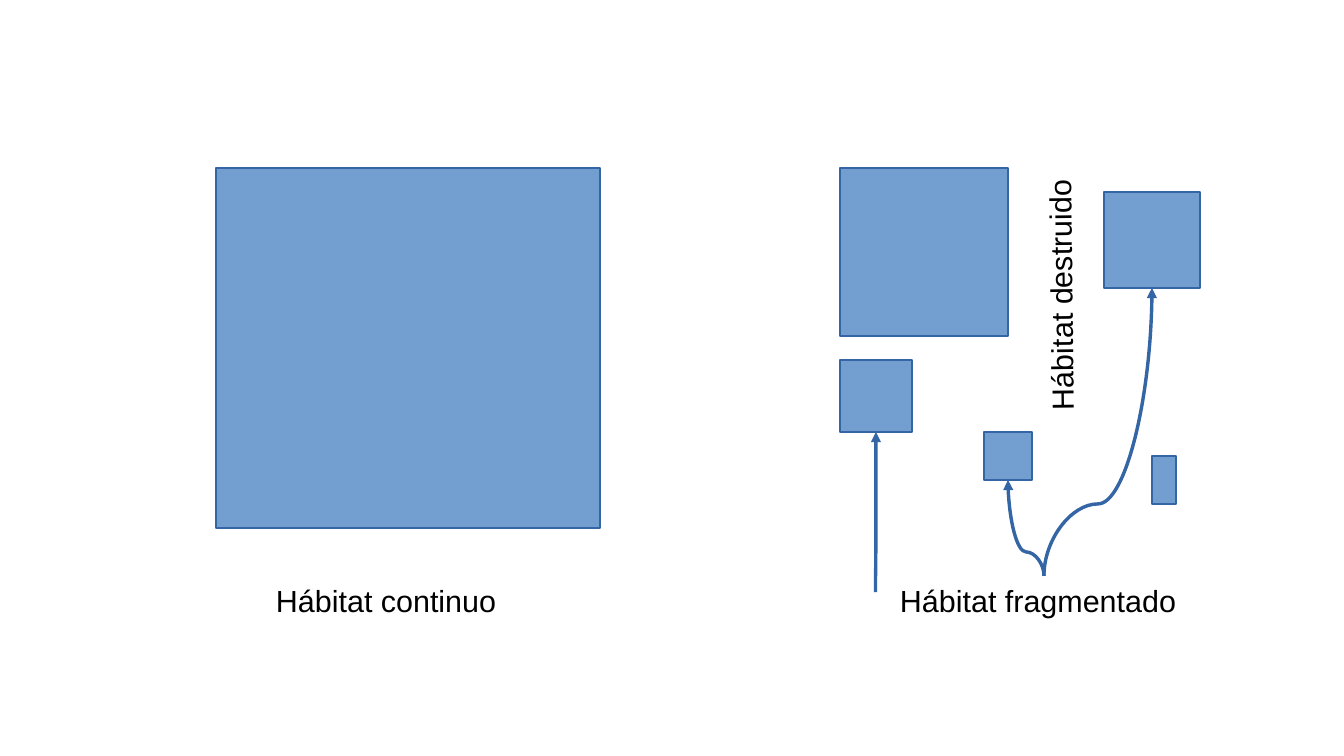
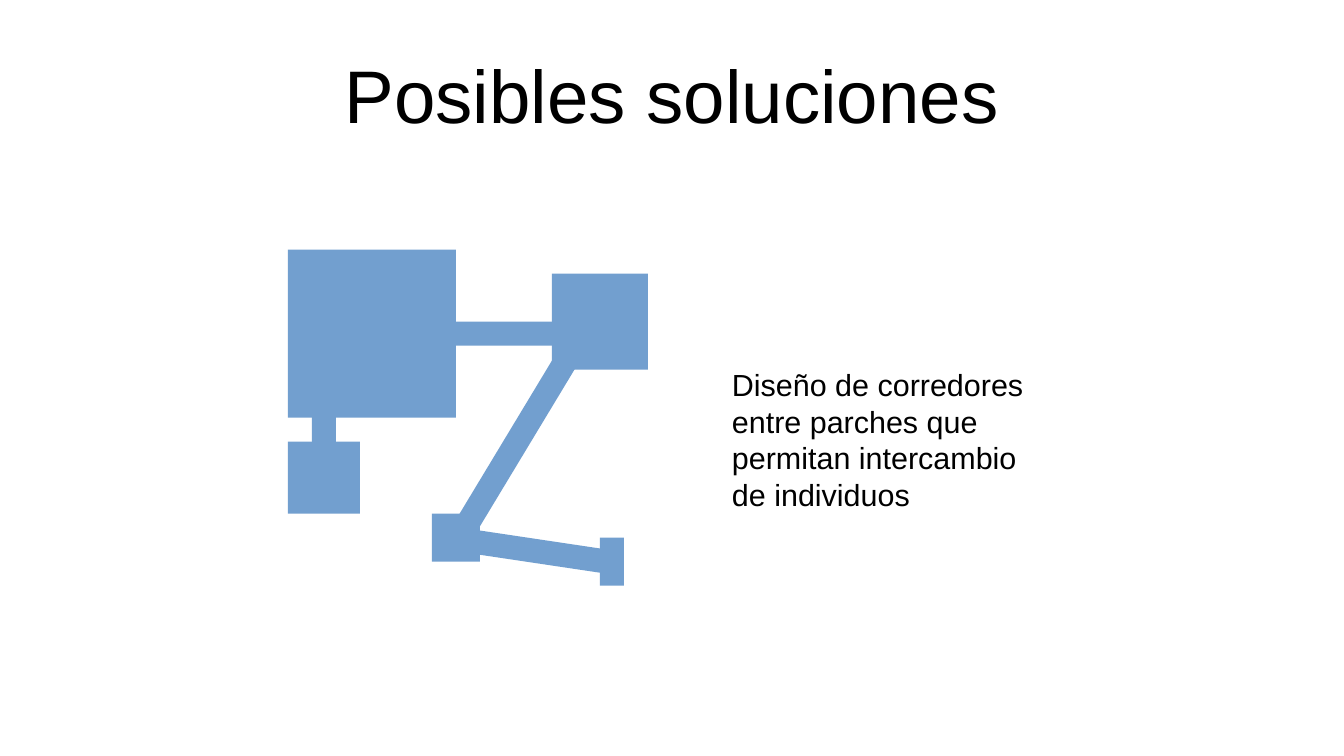
from lxml.etree import SubElement
from pptx import Presentation
from pptx.dml.color import RGBColor
from pptx.enum.shapes import MSO_CONNECTOR, MSO_SHAPE
from pptx.enum.text import MSO_ANCHOR, MSO_AUTO_SIZE, PP_ALIGN
from pptx.oxml.ns import qn
from pptx.util import Cm, Pt

# Shared style
FONT = "Arial"
BLACK, HABITAT, OUTLINE = "000000", "729FCF", "3465A4"

# Content, in cm: left, top, width, height and, where needed, rotation
CONTINUOUS = (4.5, 3.5, 8, 7.5)
PATCHES = [  # from the corner of the fragmented habitat
    (0, 0, 3.5, 3.5),
    (0, 4, 1.5, 1.5),
    (3, 5.5, 1, 1),
    (6.5, 6, 0.5, 1),
    (5.5, 0.5, 2, 2),
]
CORRIDORS = [  # from the same corner
    (3, 1.5, 3, 0.5),
    (0.5, 2.9, 0.5, 2),
    (4.92, 4.48, 0.5, 3.6, 278.5),
    (2.53, 3.3, 5.03, 0.5, 301.1),
]
FRAGMENTED_AT = (17.5, 3.5)
CONNECTED_AT = (6, 5.2)
ARROWS = [  # start, index of the patch it points to, bend
    ((18.24, 12.34), 1, 0.137),
    ((21.75, 12), 2, 0.25),
    ((21.75, 12), 4, 0.25),
]
LABELS = [
    ("Hábitat continuo", (5.5, 12, 6.5, 0.96)),
    ("Hábitat fragmentado", (18.5, 12, 6.5, 0.96)),
]
DESTROYED = ("Hábitat destruido", (19.41, 5.66, 5.31, 0.96))
TITLE = "Posibles soluciones"
SOLUTION = ("Diseño de corredores entre parches que permitan intercambio de individuos",
            (15, 7.5, 7, 3.1))


def color(value):
    return RGBColor.from_string(value)


def add_block(s, box, origin=(0, 0), outlined=False):
    x, y, w, h, *turn = box
    sp = s.shapes.add_shape(MSO_SHAPE.RECTANGLE, Cm(origin[0] + x), Cm(origin[1] + y),
                            Cm(w), Cm(h))
    sp.shadow.inherit = False
    sp.rotation = turn[0] if turn else 0
    sp.fill.solid()
    sp.fill.fore_color.rgb = color(HABITAT)
    if outlined:
        sp.line.color.rgb = color(OUTLINE)
        sp.line.width = Pt(0)
    else:
        sp.line.fill.background()


def add_text(s, text, box, size=18, wrap=True):
    sp = s.shapes.add_textbox(*map(Cm, box))
    tf = sp.text_frame
    tf.word_wrap = wrap
    tf.auto_size = MSO_AUTO_SIZE.SHAPE_TO_FIT_TEXT
    p = tf.paragraphs[0]
    p.text = text
    p.font.name, p.font.size = FONT, Pt(size)
    p.font.color.rgb = color(BLACK)
    return sp


def add_title(s, text):
    tf = add_text(s, text, (1.4, 0.63, 25.2, 2.64), 44).text_frame
    tf.auto_size = MSO_AUTO_SIZE.NONE
    tf.margin_left = tf.margin_right = tf.margin_top = tf.margin_bottom = 0
    tf.vertical_anchor = MSO_ANCHOR.MIDDLE
    tf.paragraphs[0].alignment = PP_ALIGN.CENTER


def add_rising_arrow(s, start, end, bend):
    """Curve that leaves upwards: a horizontal one, turned a quarter."""
    (x1, y1), (x2, y2) = start, end
    cx, cy = (x1 + x2) / 2, (y1 + y2) / 2
    side, rise = abs(x2 - x1) / 2, (y1 - y2) / 2
    turn = 270 if x2 < x1 else 90
    if turn == 90:
        rise = -rise
    c = s.shapes.add_connector(MSO_CONNECTOR.CURVE, Cm(cx - rise), Cm(cy + side),
                               Cm(cx + rise), Cm(cy - side))
    c.line.color.rgb = color(OUTLINE)
    c.line.width = Pt(0)
    pr = c._element.spPr
    pr.find(qn("a:xfrm")).set("rot", str(turn * 60000))
    guides = pr.find(qn("a:prstGeom")).find(qn("a:avLst"))
    SubElement(guides, qn("a:gd"), name="adj1", fmla=f"val {round(bend * 100000)}")
    SubElement(pr.find(qn("a:ln")), qn("a:tailEnd"), type="triangle")
    SubElement(pr, qn("a:effectLst"))


def build_fragmentation(s):
    add_block(s, CONTINUOUS, outlined=True)
    for patch in PATCHES:
        add_block(s, patch, FRAGMENTED_AT, outlined=True)
    for text, box in LABELS:
        add_text(s, text, box)
    # Arrows end at the middle of a patch's lower edge
    left, top = FRAGMENTED_AT
    for start, target, bend in ARROWS:
        x, y, w, h = PATCHES[target]
        add_rising_arrow(s, start, (left + x + w / 2, top + y + h), bend)
    add_text(s, *DESTROYED, wrap=False).rotation = 269.3


def build_solutions(s):
    add_title(s, TITLE)
    for block in PATCHES + CORRIDORS:
        add_block(s, block, CONNECTED_AT)
    add_text(s, *SOLUTION)


def main():
    prs = Presentation()
    prs.slide_width, prs.slide_height = Cm(28), Cm(15.75)
    for build in (build_fragmentation, build_solutions):
        build(prs.slides.add_slide(prs.slide_layouts[6]))
    prs.save("out.pptx")


if __name__ == "__main__":
    main()
